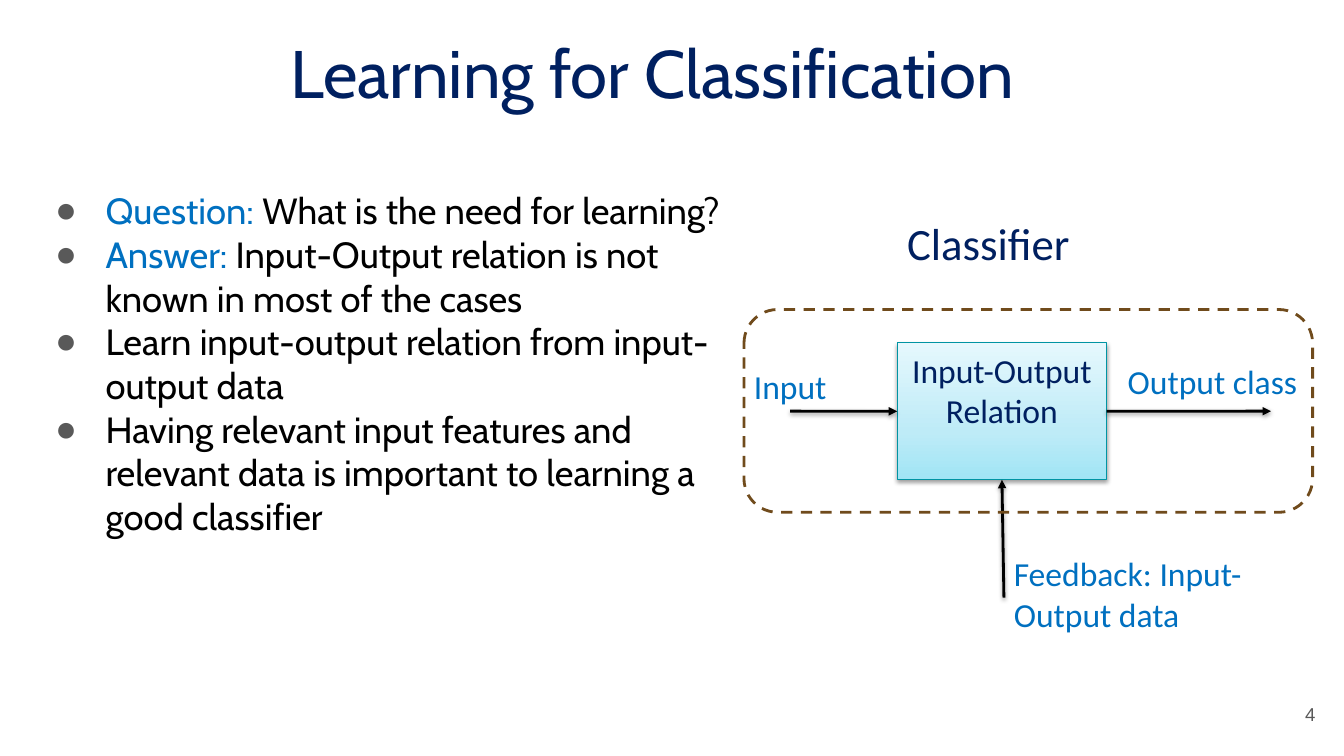
from dataclasses import dataclass
from typing import Optional

import pptx
import pptx.dml.color
import pptx.enum.dml
import pptx.enum.shapes
import pptx.enum.text
import pptx.oxml
import pptx.oxml.ns
import pptx.util

Cm = pptx.util.Cm
Pt = pptx.util.Pt
ALIGN = pptx.enum.text.PP_ALIGN
ANCHOR = pptx.enum.text.MSO_ANCHOR
FIT = pptx.enum.text.MSO_AUTO_SIZE
SHAPE = pptx.enum.shapes.MSO_SHAPE

COLORS = {
    "navy": "002060", "blue": "0070C0", "black": "000000", "gray": "595959",
    "brown": "704B1C", "teal": "0094A3",
    "box_bottom": "A0E5F5", "box_middle": "BEEBF7", "box_top": "E5F8FD",
}
BOX_STOPS = [(0, "box_bottom"), (35, "box_middle"), (100, "box_top")]
BOX_BOTTOM, BOX_LEFT, BOX_RIGHT = 2, 1, 3  # connection sites: 1 left, 2 bottom, 3 right


@dataclass
class Label:
    text: str
    box: tuple
    size: float = 24
    color: str = "blue"
    wrap: bool = False


@dataclass
class Arrow:
    start: tuple
    end: tuple
    start_site: Optional[int] = None
    end_site: Optional[int] = None


LABELS = [
    Label("Input", (18.75, 9.09, 2.36, 1.27)),
    Label("Output class", (28.17, 8.97, 4.83, 1.27)),
    Label("Classifier", (22.61, 5.31, 4.65, 1.63), size=32, color="navy"),
    Label("Feedback: Input-Output data", (25.3, 13.82, 6.6, 2.31), wrap=True),
]
ARROWS = [
    Arrow((19.91, 10.36), (22.61, 10.36), end_site=BOX_LEFT),
    Arrow((27.89, 10.36), (32.03, 10.36), start_site=BOX_RIGHT),
    Arrow((25.3, 15.06), (25.25, 12.09), end_site=BOX_BOTTOM),
]
BULLETS = [
    ("Question: ", "What is the need for learning?"),
    ("Answer: ", "Input-Output relation is not known in most of the cases"),
    ("", "Learn input-output relation from input-output data"),
    ("", "Having relevant input features and relevant data is important to "
         "learning a good classifier"),
]


def rgb(name: str) -> pptx.dml.color.RGBColor:
    return pptx.dml.color.RGBColor.from_string(COLORS[name])


def cm(values: tuple) -> list:
    return [Cm(v) for v in values]


def xml(text: str):
    """Parse one DrawingML element, with the a: namespace declared on it."""
    tag, rest = text.split(" ", 1)
    return pptx.oxml.parse_xml(f"{tag} {pptx.oxml.ns.nsdecls('a')} {rest}")


def add_text(p, text: str, *, size: float, color: str, font: str = "Calibri",
             align=ALIGN.LEFT) -> None:
    p.alignment = align
    r = p.add_run()
    r.text = text
    r.font.name = font
    r.font.size = Pt(size)
    r.font.color.rgb = rgb(color)


def place(sp, box: tuple) -> None:
    sp.left, sp.top, sp.width, sp.height = cm(box)


def set_insets(tf, inset: float) -> None:
    tf.margin_left = tf.margin_right = tf.margin_top = tf.margin_bottom = Cm(inset)


def add_shadow(sp) -> None:
    """Append a soft downward shadow; call after fill and line are set."""
    sp._element.spPr.append(xml(
        '<a:effectLst ><a:outerShdw blurRad="40000" dist="20000" dir="5400000" '
        'rotWithShape="0"><a:srgbClr val="000000"><a:alpha val="38000"/>'
        '</a:srgbClr></a:outerShdw></a:effectLst>'))


def add_bullet(p) -> None:
    pPr = p._p.get_or_add_pPr()
    pPr.set("marL", str(Cm(1.27)))
    pPr.set("indent", str(-Cm(1.27)))
    pPr.append(xml(f'<a:buClr ><a:srgbClr val="{COLORS["gray"]}"/></a:buClr>'))
    pPr.append(xml('<a:buFont typeface="Arial"/>'))
    pPr.append(xml('<a:buChar char="●"/>'))


def add_title(s) -> None:
    sp = s.shapes.title
    place(sp, (4.95, 0.64, 22.96, 2.31))
    sp.text_frame.auto_size = FIT.NONE
    add_text(sp.text_frame.paragraphs[0], "Learning for Classification",
             size=48, color="navy", font="Cabin", align=ALIGN.CENTER)


def add_body(s) -> None:
    sp = s.placeholders[1]
    place(sp, (1.14, 4.5, 17.58, 10.16))
    tf = sp.text_frame
    tf.auto_size = FIT.NONE
    set_insets(tf, 0.25)
    for i, (lead, text) in enumerate(BULLETS):
        p = tf.add_paragraph() if i else tf.paragraphs[0]
        p.space_before = Pt(0)
        add_bullet(p)
        if lead:
            add_text(p, lead, size=26, color="blue", font="Cabin")
        add_text(p, text, size=26, color="black", font="Cabin")


def add_label(s, label: Label) -> None:
    tf = s.shapes.add_textbox(*cm(label.box)).text_frame
    tf.word_wrap = label.wrap
    tf.auto_size = FIT.SHAPE_TO_FIT_TEXT
    add_text(tf.paragraphs[0], label.text, size=label.size, color=label.color)


def add_relation_box(s):
    sp = s.shapes.add_shape(SHAPE.RECTANGLE, *cm((22.61, 8.64, 5.28, 3.45)))
    stops = "".join(f'<a:gs pos="{pos * 1000}"><a:srgbClr val="{COLORS[name]}"/></a:gs>'
                    for pos, name in BOX_STOPS)
    sp._element.spPr.append(xml(
        f'<a:gradFill rotWithShape="1"><a:gsLst>{stops}</a:gsLst>'
        '<a:lin ang="16200000" scaled="0"/></a:gradFill>'))
    sp.line.color.rgb = rgb("teal")
    sp.line.width = Pt(0.75)
    add_shadow(sp)
    tf = sp.text_frame
    tf.word_wrap = True
    tf.vertical_anchor = ANCHOR.TOP
    tf.margin_top = Cm(0.18)
    add_text(tf.paragraphs[0], "Input-Output Relation", size=24, color="navy",
             align=ALIGN.CENTER)
    return sp


def add_arrow(s, arrow: Arrow, box) -> None:
    c = s.shapes.add_connector(pptx.enum.shapes.MSO_CONNECTOR.STRAIGHT,
                               *cm(arrow.start + arrow.end))
    if arrow.start_site is not None:
        c.begin_connect(box, arrow.start_site)
    if arrow.end_site is not None:
        c.end_connect(box, arrow.end_site)
    c.line.color.rgb = rgb("black")
    c.line.width = Pt(2)
    ln = c._element.spPr.find(pptx.oxml.ns.qn("a:ln"))
    ln.append(xml('<a:tailEnd type="triangle"/>'))
    add_shadow(c)


def add_frame(s) -> None:
    sp = s.shapes.add_shape(SHAPE.ROUNDED_RECTANGLE, *cm((18.75, 7.8, 14.33, 5.11)))
    sp.shadow.inherit = False
    sp.fill.background()
    sp.line.color.rgb = rgb("brown")
    sp.line.width = Pt(2)
    sp.line.dash_style = pptx.enum.dml.MSO_LINE.DASH


def add_page_number(s) -> None:
    tf = s.shapes.add_textbox(*cm((31.37, 17.27, 2.03, 1.45))).text_frame
    tf.word_wrap = True
    tf.vertical_anchor = ANCHOR.MIDDLE
    set_insets(tf, 0.25)
    add_text(tf.paragraphs[0], "4", size=13.3, color="gray", font="Arial",
             align=ALIGN.RIGHT)


def main() -> None:
    prs = pptx.Presentation()
    prs.slide_width, prs.slide_height = cm((33.87, 19.05))
    s = prs.slides.add_slide(prs.slide_layouts[1])
    add_title(s)
    add_body(s)
    add_page_number(s)
    for label in LABELS:
        add_label(s, label)
    box = add_relation_box(s)
    for arrow in ARROWS:
        add_arrow(s, arrow, box)
    add_frame(s)
    prs.save("out.pptx")


if __name__ == "__main__":
    main()
